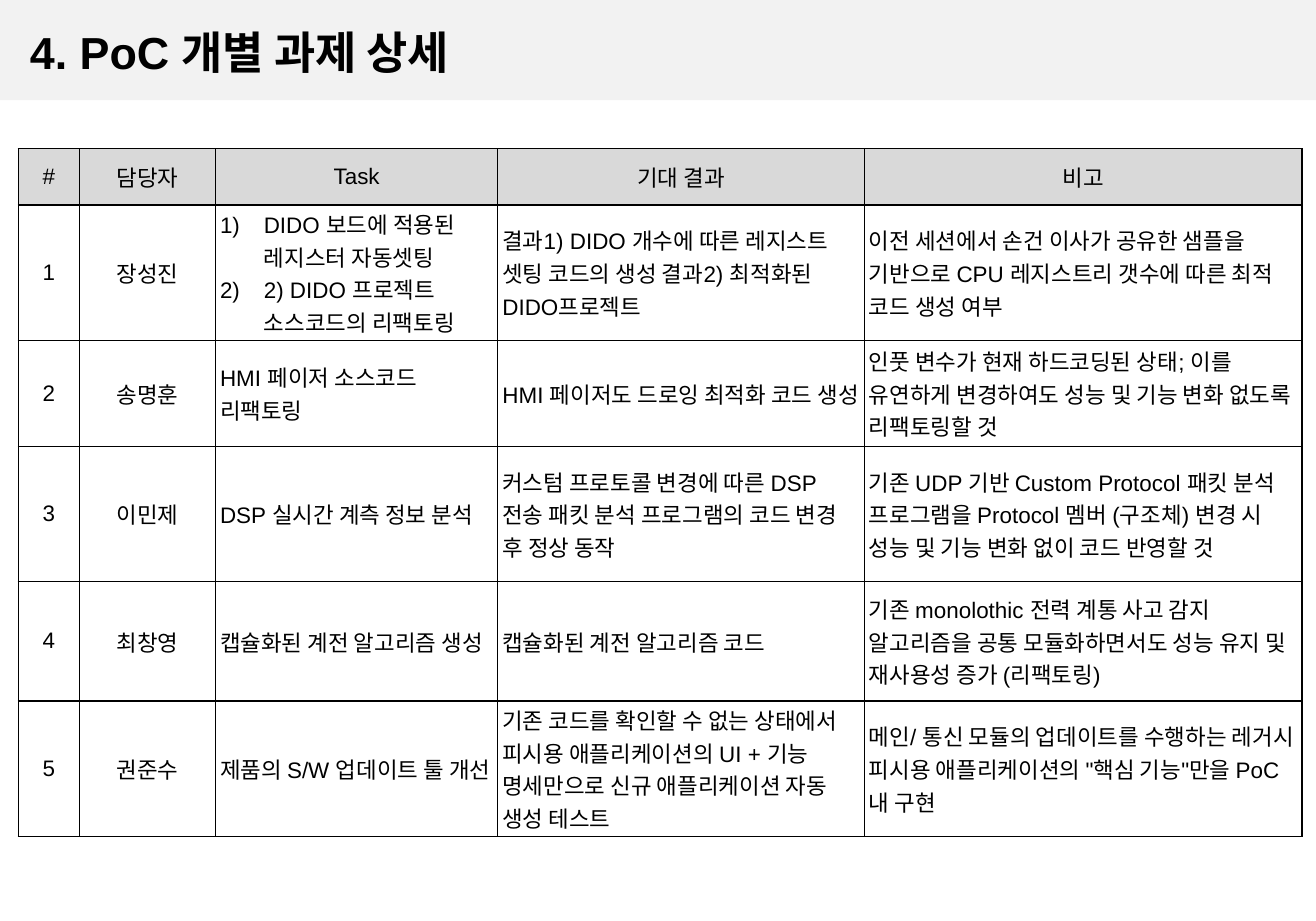
from pptx import Presentation, util as u
from pptx.dml.color import RGBColor
from pptx.enum import shapes, text
from pptx.oxml import parse_xml
from pptx.oxml.ns import nsdecls, qn
from lxml import etree

# Content
TITLE = "4. PoC 개별 과제 상세"
HEADER = ["#", "담당자", "Task", "기대 결과", "비고"]
# owner, task (a list is numbered), expected result, remarks
TASKS = [
    ("장성진",
     ["DIDO 보드에 적용된 레지스터 자동셋팅", "2) DIDO 프로젝트 소스코드의 리팩토링"],
     "결과1) DIDO 개수에 따른 레지스트 셋팅 코드의 생성 결과2) 최적화된 DIDO프로젝트",
     "이전 세션에서 손건 이사가 공유한 샘플을 기반으로 CPU 레지스트리 갯수에 따른 최적 코드 생성 여부"),
    ("송명훈",
     "HMI 페이저 소스코드 리팩토링",
     "HMI 페이저도 드로잉 최적화 코드 생성",
     "인풋 변수가 현재 하드코딩된 상태; 이를 유연하게 변경하여도 성능 및 기능 변화 없도록 리팩토링할 것"),
    ("이민제",
     "DSP 실시간 계측 정보 분석",
     "커스텀 프로토콜 변경에 따른 DSP 전송 패킷 분석 프로그램의 코드 변경 후 정상 동작",
     "기존 UDP 기반 Custom Protocol 패킷 분석 프로그램을 Protocol 멤버 (구조체) 변경 시 성능 및 기능 변화 없이 코드 반영할 것"),
    ("최창영",
     "캡슐화된 계전 알고리즘 생성",
     "캡슐화된 계전 알고리즘 코드",
     "기존 monolothic 전력 계통 사고 감지 알고리즘을 공통 모듈화하면서도 성능 유지 및 재사용성 증가 (리팩토링)"),
    ("권준수",
     "제품의 S/W 업데이트 툴 개선",
     "기존 코드를 확인할 수 없는 상태에서 피시용 애플리케이션의 UI + 기능 명세만으로 신규 애플리케이션 자동 생성 테스트",
     "메인/ 통신 모듈의 업데이트를 수행하는 레거시 피시용 애플리케이션의 \"핵심 기능\"만을 PoC내 구현"),
]

# Layout and theme
SLIDE_W, SLIDE_H, BAND_H = 11.42, 7.99, 0.87
LEFT, TABLE_TOP, WIDTH = 0.16, 1.29, 11.13
COLS = [0.53, 1.18, 2.45, 3.18, 3.8]
ROWS = [0.49, 1.17, 0.92, 1.17, 1.04, 1.17]
CENTRED_COLS = 2
THEME = dict(font="Arial", title=28, body=14, ink="000000", line=1,
             band="F2F2F2", header="D9D9D9", paper="FFFFFF")


def color(name):
    return RGBColor.from_string(THEME[name])


def style(font, size, bold=False):
    font.name, font.size, font.bold = THEME["font"], u.Pt(THEME[size]), bold
    font.color.rgb = color("ink")


def number(p):
    pPr = p._p.get_or_add_pPr()
    indent = u.Inches(0.38)
    pPr.set("marL", str(indent))
    pPr.set("indent", str(-indent))
    etree.SubElement(pPr, qn("a:buAutoNum"), type="arabicParenR")


def add_borders(cell):
    tcPr = cell._tc.get_or_add_tcPr()
    for i, side in enumerate(("lnL", "lnR", "lnT", "lnB")):
        tcPr.insert(i, parse_xml(
            f'<a:{side} {nsdecls("a")} w="{u.Pt(THEME["line"])}"><a:solidFill>'
            f'<a:srgbClr val="{THEME["ink"]}"/></a:solidFill></a:{side}>'))


def fill_cell(cell, content, fill, centred):
    cell.fill.solid()
    cell.fill.fore_color.rgb = color(fill)
    add_borders(cell)
    cell.vertical_anchor = text.MSO_ANCHOR.MIDDLE
    cell.margin_left = cell.margin_right = u.Inches(0.04)
    cell.margin_top = cell.margin_bottom = u.Inches(0.02)
    numbered = isinstance(content, list)
    cell.text_frame.text = "\n".join(content) if numbered else content
    for p in cell.text_frame.paragraphs:
        p.alignment = text.PP_ALIGN.CENTER if centred else text.PP_ALIGN.LEFT
        if numbered:
            number(p)
        for r in p.runs:
            style(r.font, "body")


def main():
    prs = Presentation()
    prs.slide_width, prs.slide_height = u.Inches(SLIDE_W), u.Inches(SLIDE_H)
    s = prs.slides.add_slide(prs.slide_layouts[5])

    # Title over a grey band
    title = s.shapes.title
    band = s.shapes.add_shape(shapes.MSO_SHAPE.RECTANGLE, 0, 0,
                              prs.slide_width, u.Inches(BAND_H))
    band.shadow.inherit = False
    band.fill.solid()
    band.fill.fore_color.rgb = color("band")
    band.line.fill.background()
    title.element.addprevious(band.element)
    title.left, title.top = u.Inches(LEFT), u.Inches(0.17)
    title.width, title.height = u.Inches(WIDTH), u.Inches(0.55)
    tf = title.text_frame
    tf.text = TITLE
    tf.auto_size = text.MSO_AUTO_SIZE.NONE
    tf.vertical_anchor = text.MSO_ANCHOR.MIDDLE
    p = tf.paragraphs[0]
    p.alignment = text.PP_ALIGN.LEFT
    style(p.runs[0].font, "title", bold=True)

    # Task table
    rows = [HEADER] + [(str(n), *task) for n, task in enumerate(TASKS, 1)]
    table = s.shapes.add_table(len(ROWS), len(COLS), u.Inches(LEFT), u.Inches(TABLE_TOP),
                               u.Inches(WIDTH), u.Inches(sum(ROWS))).table
    table.first_row = table.horz_banding = False
    for col, width in zip(table.columns, COLS):
        col.width = u.Inches(width)
    for i, (row, height) in enumerate(zip(rows, ROWS)):
        table.rows[i].height = u.Inches(height)
        for j, content in enumerate(row):
            fill_cell(table.cell(i, j), content, "paper" if i else "header",
                      centred=i == 0 or j < CENTRED_COLS)

    prs.save("out.pptx")


if __name__ == "__main__":
    main()
